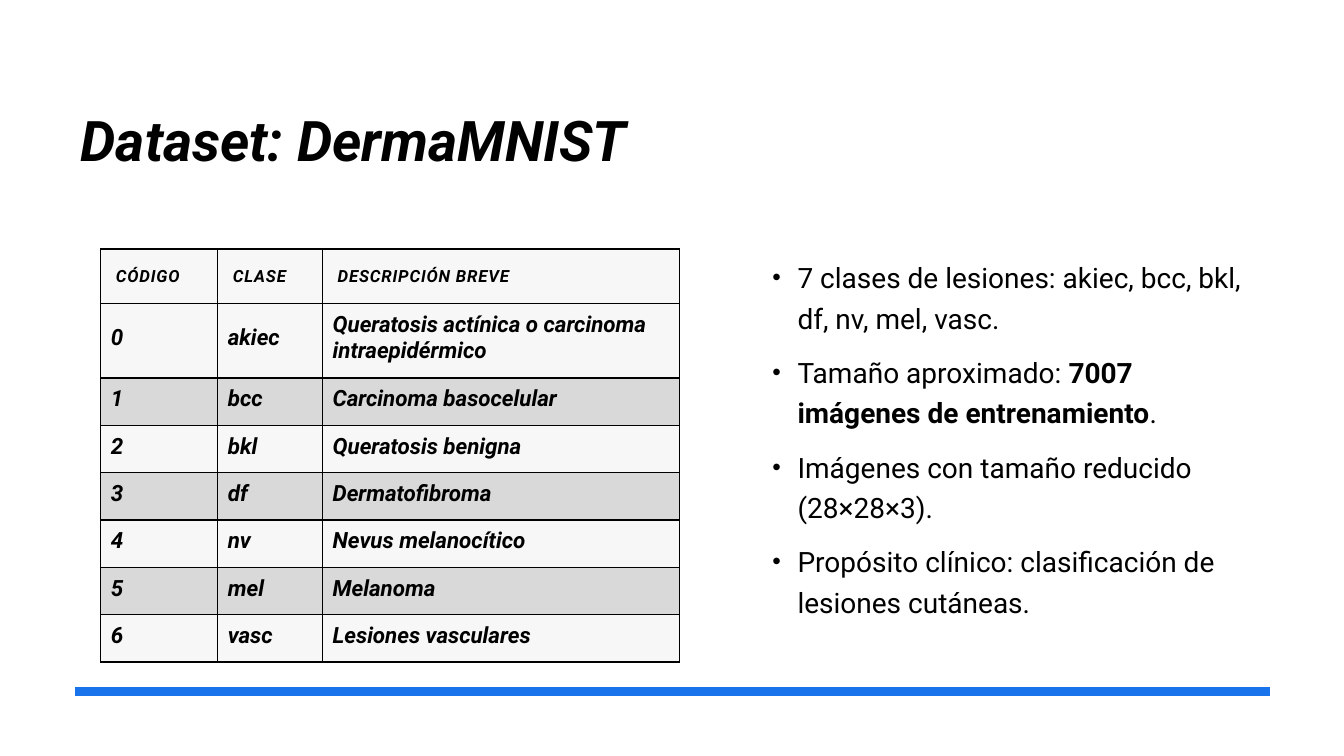
"""Builds the DermaMNIST dataset slide."""
from lxml import etree
from pptx import Presentation
from pptx import util as u
from pptx.dml.color import RGBColor
from pptx.enum import shapes, text
from pptx.oxml.ns import qn

FONT, BLACK, BLUE, LIGHT, GREY = "Roboto", "000000", "1973EB", "F7F7F7", "D9D9D9"
HEADER = ("CÓDIGO", "CLASE", "DESCRIPCIÓN BREVE")
CLASSES = (
    ("akiec", "Queratosis actínica o carcinoma intraepidérmico"),
    ("bcc", "Carcinoma basocelular"),
    ("bkl", "Queratosis benigna"),
    ("df", "Dermatofibroma"),
    ("nv", "Nevus melanocítico"),
    ("mel", "Melanoma"),
    ("vasc", "Lesiones vasculares"),
)
POINTS = (
    (("7 clases de lesiones: akiec, bcc, bkl, df, nv, mel, vasc.", False),),
    (("Tamaño aproximado: ", False), ("7007 imágenes de entrenamiento", True), (".", False)),
    (("Imágenes con tamaño reducido (28×28×3).", False),),
    (("Propósito clínico: clasificación de lesiones cutáneas.", False),),
)


def px(n):
    """Turn px, 100 to the inch, into EMU."""
    return u.Emu(n * 9144)


def color(value):
    """Turn a hex string into a colour."""
    return RGBColor.from_string(value)


def assign(obj, **values):
    """Set each named value on an object."""
    for name, value in values.items():
        setattr(obj, name, value)


def place(sp, box):
    """Move a shape to a box of left, top, width and height."""
    assign(sp, **dict(zip(("left", "top", "width", "height"), map(px, box))))


def frame(tf):
    """Give a placeholder its wrapping, anchor and margins."""
    assign(tf, word_wrap=True, auto_size=text.MSO_AUTO_SIZE.NONE,
           vertical_anchor=text.MSO_ANCHOR.TOP, margin_left=px(10),
           margin_right=px(10), margin_top=px(5), margin_bottom=px(5))


def add_run(p, words, size, bold=False, italic=False):
    """Add one formatted run to a paragraph."""
    r = p.add_run()
    r.text = words
    assign(r.font, name=FONT, size=u.Pt(size), bold=bold, italic=italic)
    r.font.color.rgb = color(BLACK)
    return r


def add_title(s, box):
    """Fill the title placeholder."""
    sp = s.shapes.title
    place(sp, box)
    frame(sp.text_frame)
    p = sp.text_frame.paragraphs[0]
    p.alignment = text.PP_ALIGN.LEFT
    add_run(p, "Dataset: DermaMNIST", 40, True, True)


def add_points(s, box):
    """Fill the body placeholder with the bulleted points."""
    sp = s.placeholders[1]
    place(sp, box)
    tf = sp.text_frame
    frame(tf)
    for i, parts in enumerate(POINTS):
        p = tf.add_paragraph() if i else tf.paragraphs[0]
        pPr = p._p.get_or_add_pPr()
        assign_xml(pPr, marL=px(25), indent=px(-25))
        for tag, key, value in (("buSzPct", "val", 87000), ("buFont", "typeface", "Arial"),
                                ("buChar", "char", "•")):
            assign_xml(etree.SubElement(pPr, qn("a:" + tag)), **{key: value})
        assign(p, line_spacing=1.2, space_before=u.Pt(10 if i else 0),
               space_after=u.Pt(0), alignment=text.PP_ALIGN.LEFT)
        for words, bold in parts:
            add_run(p, words, 20, bold)


def assign_xml(el, **values):
    """Set each named attribute on an XML element."""
    for name, value in values.items():
        el.set(name, str(value))


def add_borders(cell):
    """Draw a thin black line on all four sides of a cell."""
    tcPr = cell._tc.get_or_add_tcPr()
    for side in "LRTB":
        ln = etree.SubElement(tcPr, qn("a:ln" + side), w=str(u.Pt(1)))
        fill = etree.SubElement(ln, qn("a:solidFill"))
        etree.SubElement(fill, qn("a:srgbClr"), val=BLACK)


def add_classes(s, box):
    """Add the table of lesion classes."""
    rows = [HEADER] + [(str(i), *row) for i, row in enumerate(CLASSES)]
    sp = s.shapes.add_table(len(rows), len(HEADER), *map(px, box))
    tbl = sp.table
    assign(tbl, first_row=False, horz_banding=False)
    for col, width in zip(tbl.columns, (116, 104, 354)):
        col.width = px(width)
    for i, (row, height) in enumerate(zip(rows, [54, 74] + [47] * 6)):
        tbl.rows[i].height = px(height)
        left, top, bottom = (10, 5, 10) if i else (15, 15, 15)
        for j, words in enumerate(row):
            cell = tbl.cell(i, j)
            add_borders(cell)
            cell.fill.solid()
            cell.fill.fore_color.rgb = color(GREY if i and i % 2 == 0 else LIGHT)
            assign(cell, vertical_anchor=text.MSO_ANCHOR.MIDDLE, margin_left=px(left),
                   margin_right=px(left), margin_top=px(top), margin_bottom=px(bottom))
            r = add_run(cell.text_frame.paragraphs[0], words, 16 if i else 12, True, True)
            if not i:
                assign_xml(r._r.get_or_add_rPr(), spc=60)


def add_rule(s, box):
    """Add the blue rule along the foot of the slide."""
    left, top, width, height = box
    sp = s.shapes.add_connector(shapes.MSO_CONNECTOR.STRAIGHT, px(left), px(top),
                                px(left + width), px(top + height))
    sp.line.color.rgb = color(BLUE)
    sp.line.width = u.Pt(6)
    etree.SubElement(sp._element.spPr, qn("a:effectLst"))


def main():
    """Build and save the slide."""
    prs = Presentation()
    assign(prs, slide_width=px(1333), slide_height=px(750))
    s = prs.slides.add_slide(prs.slide_layouts[1])
    add_title(s, (70, 100, 1186, 128))
    add_points(s, (756, 247, 499, 411))
    add_rule(s, (74, 686, 1186, 0))
    add_classes(s, (100, 247, 574, 410))
    prs.save("out.pptx")


if __name__ == "__main__":
    main()
